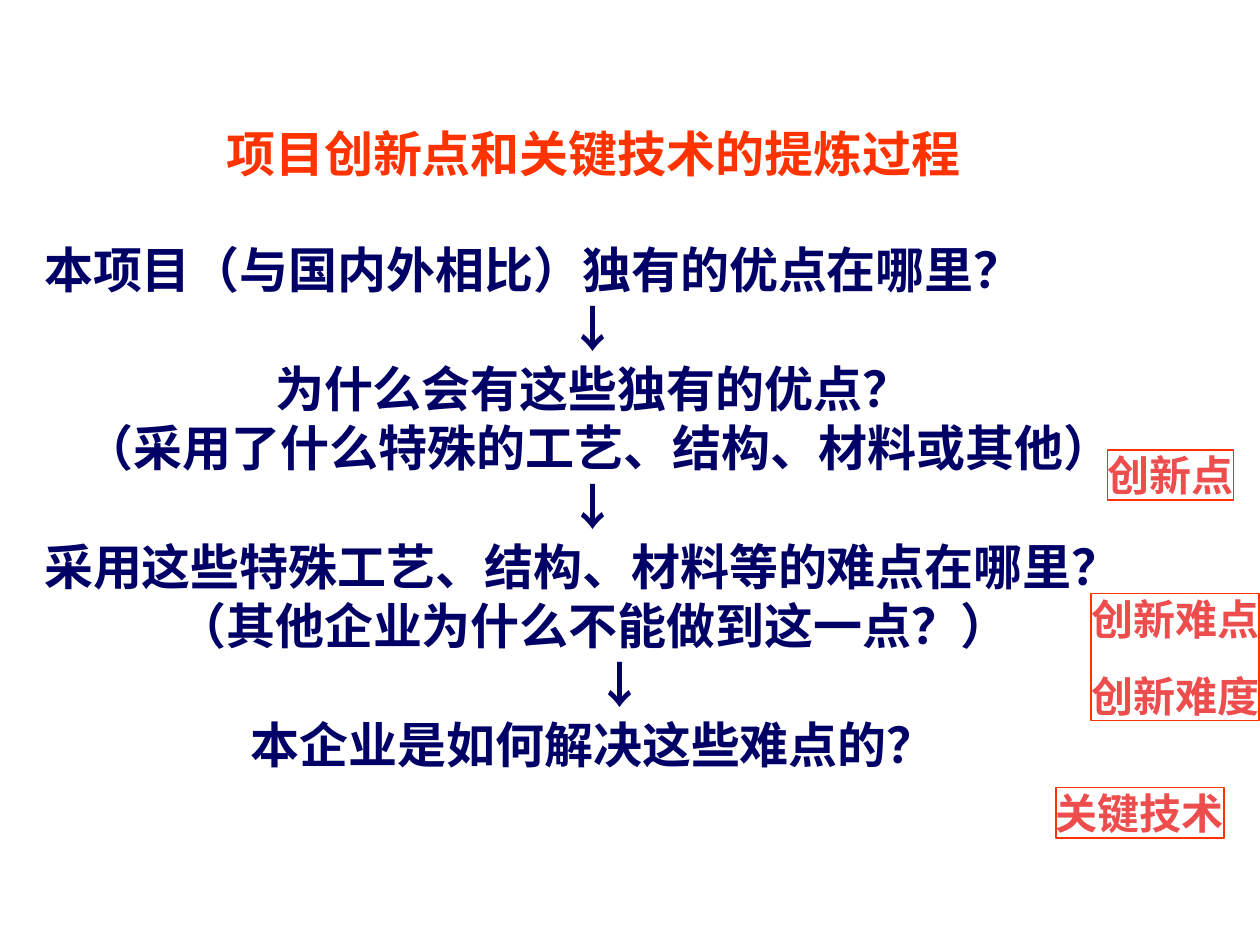
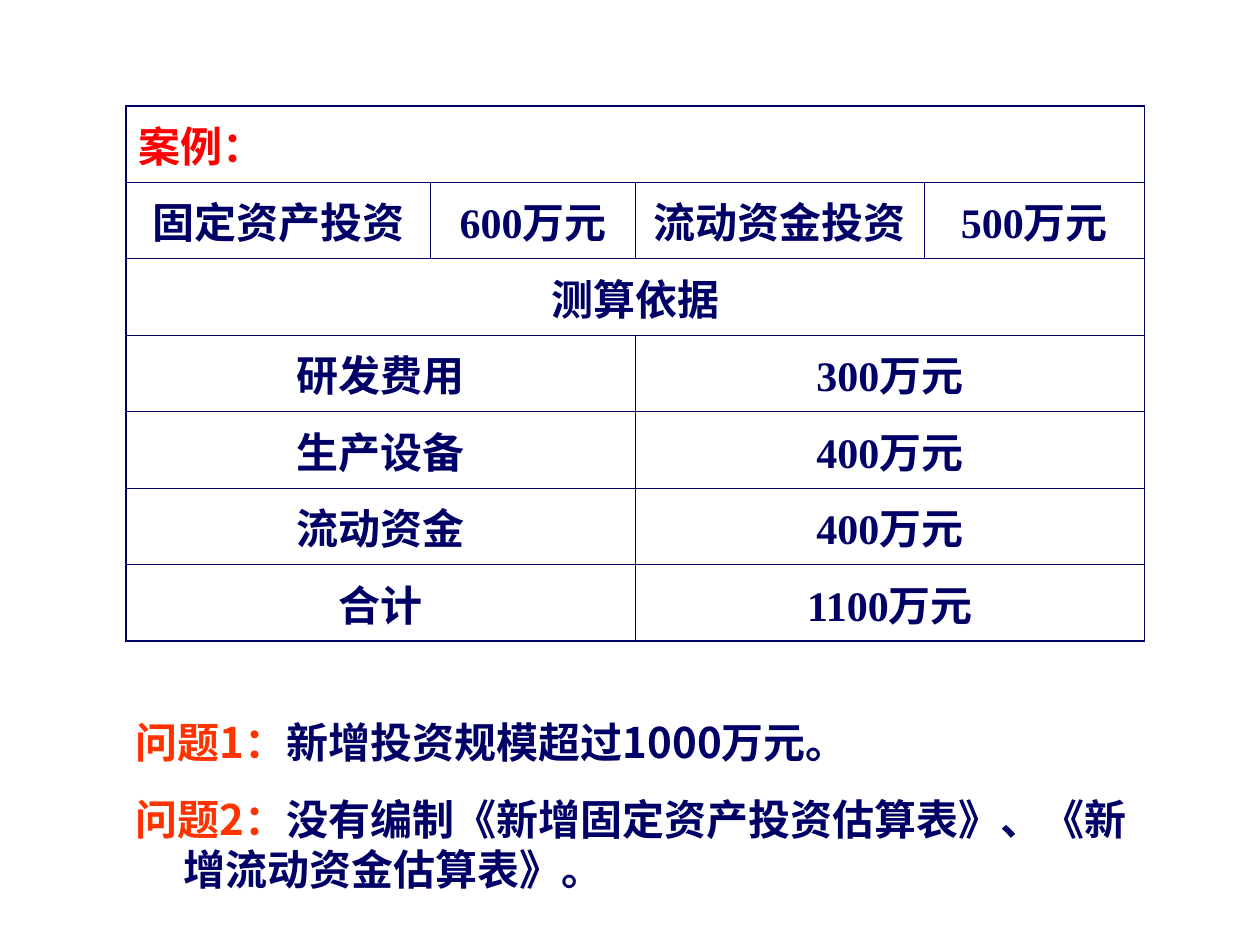
import pptx
import pptx.dml.color
import pptx.enum.shapes
import pptx.enum.text
import pptx.oxml.ns
import pptx.util
from lxml import etree

Pt = pptx.util.Pt
align = pptx.enum.text.PP_ALIGN
anchor = pptx.enum.text.MSO_ANCHOR
fit = pptx.enum.text.MSO_AUTO_SIZE
rgb = pptx.dml.color.RGBColor.from_string
qn = pptx.oxml.ns.qn

colors = {"navy": "000066", "orange": "FF3300", "rose": "ED4D4D", "red": "FF0000"}
sans, serif = "Noto Sans CJK SC", "Times New Roman"


def write(para, runs, size, face, **form):
    """Fill a paragraph with (text, color) runs and set its format values."""
    for key, value in form.items():
        setattr(para, key, value)
    for text, color in runs:
        run = para.add_run()
        run.text = text
        for key, value in {"name": face, "size": Pt(size), "bold": True}.items():
            setattr(run.font, key, value)
        run.font.color.rgb = rgb(colors[color])


def indent(para, left, first):
    """Set the left margin and first-line indent, with no bullet."""
    props = para._p.get_or_add_pPr()
    props.set("marL", str(Pt(left)))
    props.set("indent", str(Pt(first)))
    etree.SubElement(props, qn("a:buNone"))


deck = pptx.Presentation()
deck.slide_width, deck.slide_height = Pt(720), Pt(540)

# Slide 1: questions that lead to the key technology
slide = deck.slides.add_slide(deck.slide_layouts[1])
title, body = slide.placeholders
spots = [(title, 18, 66.4, 642, 42, anchor.MIDDLE),
         (body, 18, 139.8, 642, 339.7, anchor.TOP)]
for holder, left, top, width, height, hold in spots:
    place = {"left": left, "top": top, "width": width, "height": height}
    for key, value in place.items():
        setattr(holder, key, Pt(value))
    frame = holder.text_frame
    frame.auto_size, frame.vertical_anchor = fit.NONE, hold

write(title.text_frame.paragraphs[0], [("项目创新点和关键技术的提炼过程", "orange")],
      28, sans, alignment=align.CENTER)

steps = [
    ("本项目（与国内外相比）独有的优点在哪里？", align.LEFT, 0),
    ("↓", align.CENTER, 0),
    ("为什么会有这些独有的优点？", align.CENTER, 0),
    (" （采用了什么特殊的工艺、结构、材料或其他）", align.CENTER, 0),
    ("↓", align.CENTER, 0),
    ("采用这些特殊工艺、结构、材料等的难点在哪里？", align.LEFT, 0),
    ("（其他企业为什么不能做到这一点？）", align.CENTER, 0),
    ("↓", align.CENTER, 30),
    ("本企业是如何解决这些难点的？", align.CENTER, 0),
]
frame = body.text_frame
for i, (text, side, left) in enumerate(steps):
    para = frame.add_paragraph() if i else frame.paragraphs[0]
    write(para, [(text, "navy")], 28, sans, alignment=side,
          line_spacing=0.8, space_before=Pt(7))
    indent(para, left, 0)

labels = [
    (["创新难点", "创新难度"], 623.5, 339.1, 96, 72.7),
    (["关键技术"], 603.4, 450, 96, 28.8),
    (["创新点"], 632.9, 257, 72, 28.8),
]
for lines, *place in labels:
    box = slide.shapes.add_shape(pptx.enum.shapes.MSO_SHAPE.RECTANGLE, *map(Pt, place))
    box.shadow.inherit = False
    box.fill.background()
    box.line.color.rgb, box.line.width = rgb(colors["orange"]), Pt(1)
    frame = box.text_frame
    form = {"margin_left": 0, "margin_right": 0, "margin_top": 0, "margin_bottom": 0,
            "word_wrap": False, "auto_size": fit.SHAPE_TO_FIT_TEXT}
    for key, value in form.items():
        setattr(frame, key, value)
    for i, line in enumerate(lines):
        para = frame.add_paragraph() if i else frame.paragraphs[0]
        write(para, [(line, "rose")], 24, serif, alignment=align.LEFT,
              space_before=Pt(15))

# Slide 2: sample budget and its problems
slide = deck.slides.add_slide(deck.slide_layouts[6])
rows = [
    ["案例："],
    ["固定资产投资", "600万元", "流动资金投资", "500万元"],
    ["测算依据"],
    ["研发费用", "300万元"],
    ["生产设备", "400万元"],
    ["流动资金", "400万元"],
    ["合计", "1100万元"],
]
widths = [174, 117.2, 165, 125.8]
count = len(widths)
table = slide.shapes.add_table(len(rows), count, Pt(72), Pt(60.4),
                               Pt(sum(widths)), Pt(306)).table
table.first_row = table.horz_banding = False
for column, width in zip(table.columns, widths):
    column.width = Pt(width)

for r, texts in enumerate(rows):
    span = count // len(texts)
    for i, text in enumerate(texts):
        c = i * span
        cell = table.cell(r, c)
        if span > 1:
            cell.merge(table.cell(r, c + span - 1))
        cell.vertical_anchor = anchor.MIDDLE
        write(cell.text_frame.paragraphs[0], [(text, "navy" if r else "red")], 24, serif,
              alignment=align.CENTER if r else align.LEFT, space_before=Pt(6))
        outer = {"L": c == 0, "R": c + span == count,
                 "T": r == 0, "B": r == len(rows) - 1}
        props = cell._tc.get_or_add_tcPr()
        for side, edge in outer.items():
            line = etree.SubElement(props, qn(f"a:ln{side}"), w=str(Pt(1.08 if edge else 0.45)))
            fill = etree.SubElement(line, qn("a:solidFill"))
            etree.SubElement(fill, qn("a:srgbClr"), val=colors["navy"])
        cell.fill.background()

issues = [
    ("问题1：", "新增投资规模超过1000万元。"),
    ("问题2：", "没有编制《新增固定资产投资估算表》、《新增流动资金估算表》。"),
]
frame = slide.shapes.add_textbox(Pt(70.6), Pt(406), Pt(589.7), Pt(108.7)).text_frame
frame.word_wrap = True
for i, (head, text) in enumerate(issues):
    para = frame.add_paragraph() if i else frame.paragraphs[0]
    write(para, [(head, "orange"), (text, "navy")], 24, sans, space_before=Pt(15))
    indent(para, 27, -27)

deck.save("out.pptx")
